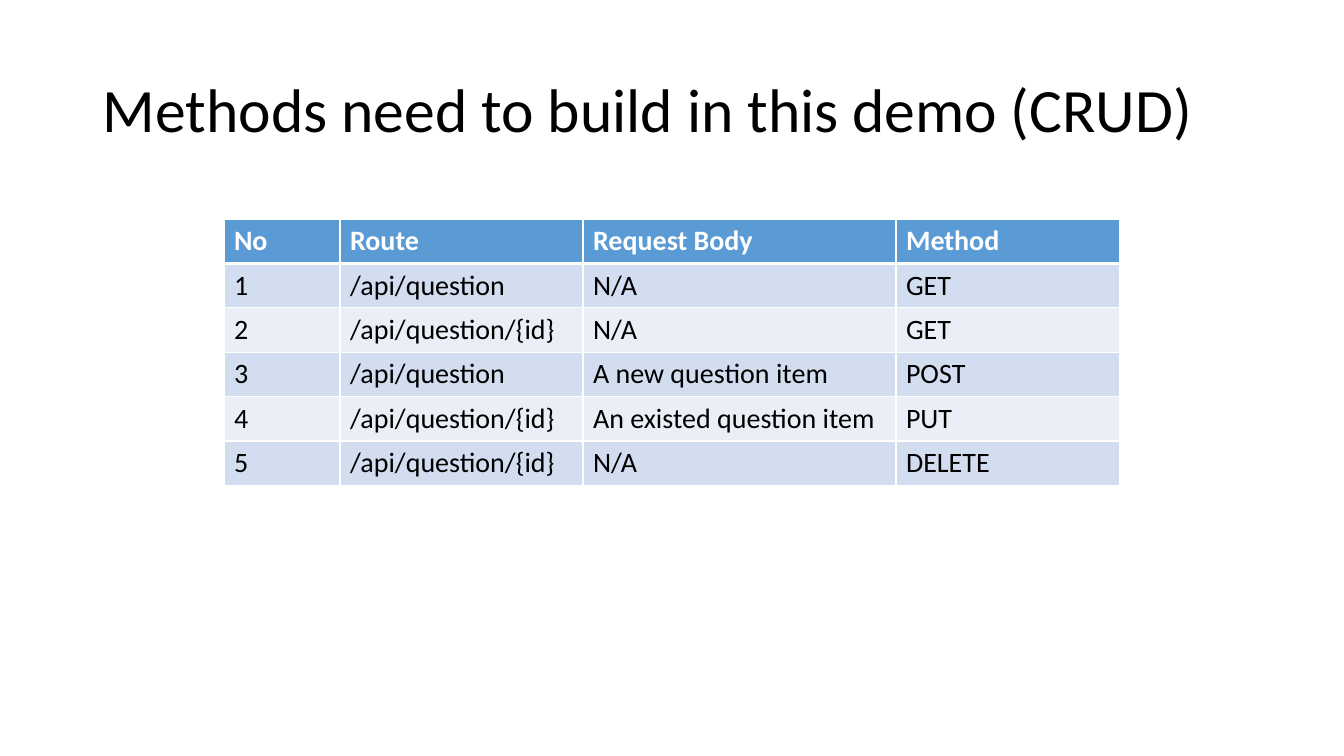
"""Build a slide that lists the CRUD methods of a demo API."""
from dataclasses import dataclass

from lxml import etree
from pptx import Presentation, util as u
from pptx.dml.color import RGBColor
from pptx.enum import text
from pptx.oxml import ns


@dataclass(frozen=True)
class Theme:
    font: str = "Calibri"
    title_size: int = 44
    table_size: int = 20
    ink: str = "000000"
    header_ink: str = "FFFFFF"
    header_fill: str = "5B9BD5"
    bands: tuple = ("D2DEEF", "EAEFF7")
    rule: str = "FFFFFF"
    thin: int = 1
    thick: int = 3


THEME = Theme()
SCALE = 914400 / 100.8


def px(*lengths):
    return [u.Emu(round(length * SCALE)) for length in lengths]


def style(paragraph, size, color, bold=False):
    for run in paragraph.runs:
        run.font.name = THEME.font
        run.font.size = u.Pt(size)
        run.font.bold = bold
        run.font.color.rgb = RGBColor.from_string(color)


deck = Presentation()
deck.slide_width, deck.slide_height = px(1344, 756)
slide = deck.slides.add_slide(deck.slide_layouts[6])

methods = [
    ("No", "Route", "Request Body", "Method"),
    ("1", "/api/question", "N/A", "GET"),
    ("2", "/api/question/{id}", "N/A", "GET"),
    ("3", "/api/question", "A new question item", "POST"),
    ("4", "/api/question/{id}", "An existed question item", "PUT"),
    ("5", "/api/question/{id}", "N/A", "DELETE"),
]
column_widths = px(116, 243, 313, 224)
row_height = px(44)[0]
left, top = px(224, 219)
routes = slide.shapes.add_table(
    len(methods), len(column_widths), left, top,
    sum(column_widths), row_height * len(methods)).table

for column, width in zip(routes.columns, column_widths):
    column.width = width

for number, values in enumerate(methods):
    header = number == 0
    routes.rows[number].height = row_height
    fill = THEME.header_fill if header else THEME.bands[(number - 1) % 2]
    ink = THEME.header_ink if header else THEME.ink
    edges = {"lnL": THEME.thin, "lnR": THEME.thin,
             "lnT": THEME.thick if number == 1 else THEME.thin,
             "lnB": THEME.thick if header else THEME.thin}
    for cell, value in zip(routes.rows[number].cells, values):
        cell.text_frame.text = value
        style(cell.text_frame.paragraphs[0], THEME.table_size, ink, header)
        cell.fill.solid()
        cell.fill.fore_color.rgb = RGBColor.from_string(fill)
        properties = cell._tc.get_or_add_tcPr()
        for position, (edge, weight) in enumerate(edges.items()):
            line = etree.Element(ns.qn(f"a:{edge}"), w=str(u.Pt(weight)))
            paint = etree.SubElement(line, ns.qn("a:solidFill"))
            etree.SubElement(paint, ns.qn("a:srgbClr"), val=THEME.rule)
            properties.insert(position, line)

title = slide.shapes.add_textbox(*px(93, 40, 1159, 146)).text_frame
title.word_wrap = True
title.vertical_anchor = text.MSO_ANCHOR.MIDDLE
title.text = "Methods need to build in this demo (CRUD)"
title.paragraphs[0].line_spacing = 0.9
style(title.paragraphs[0], THEME.title_size, THEME.ink)

deck.save("out.pptx")
